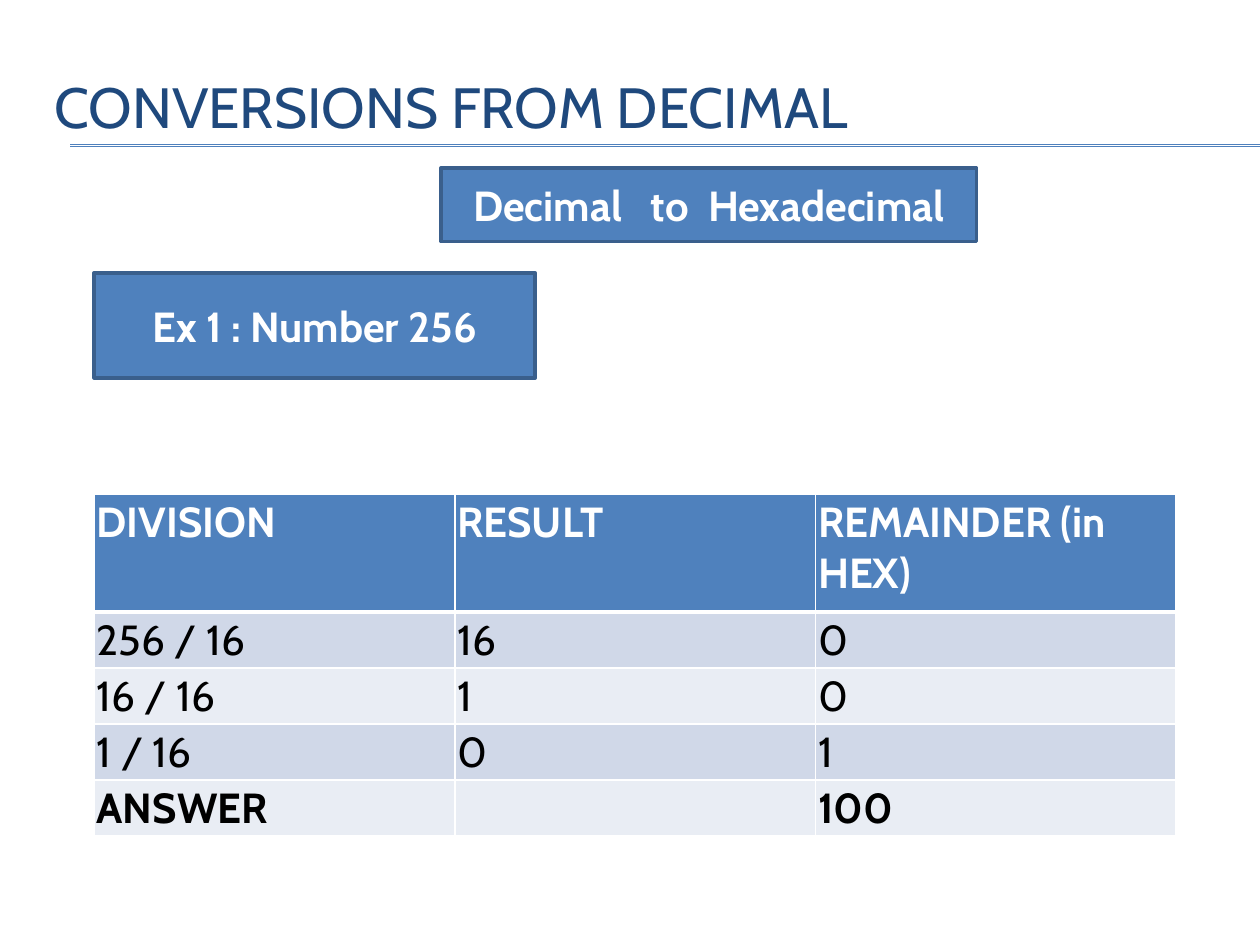
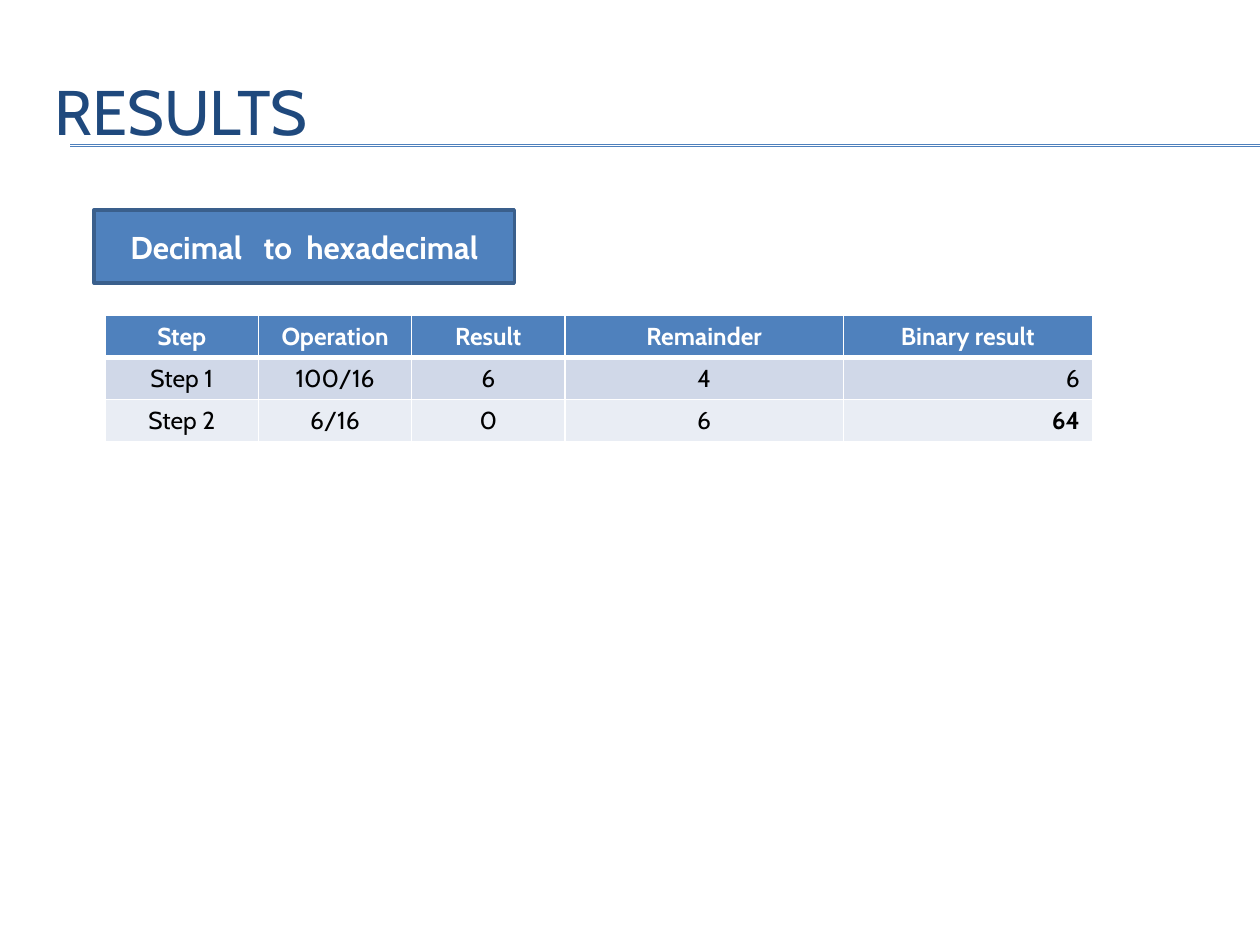
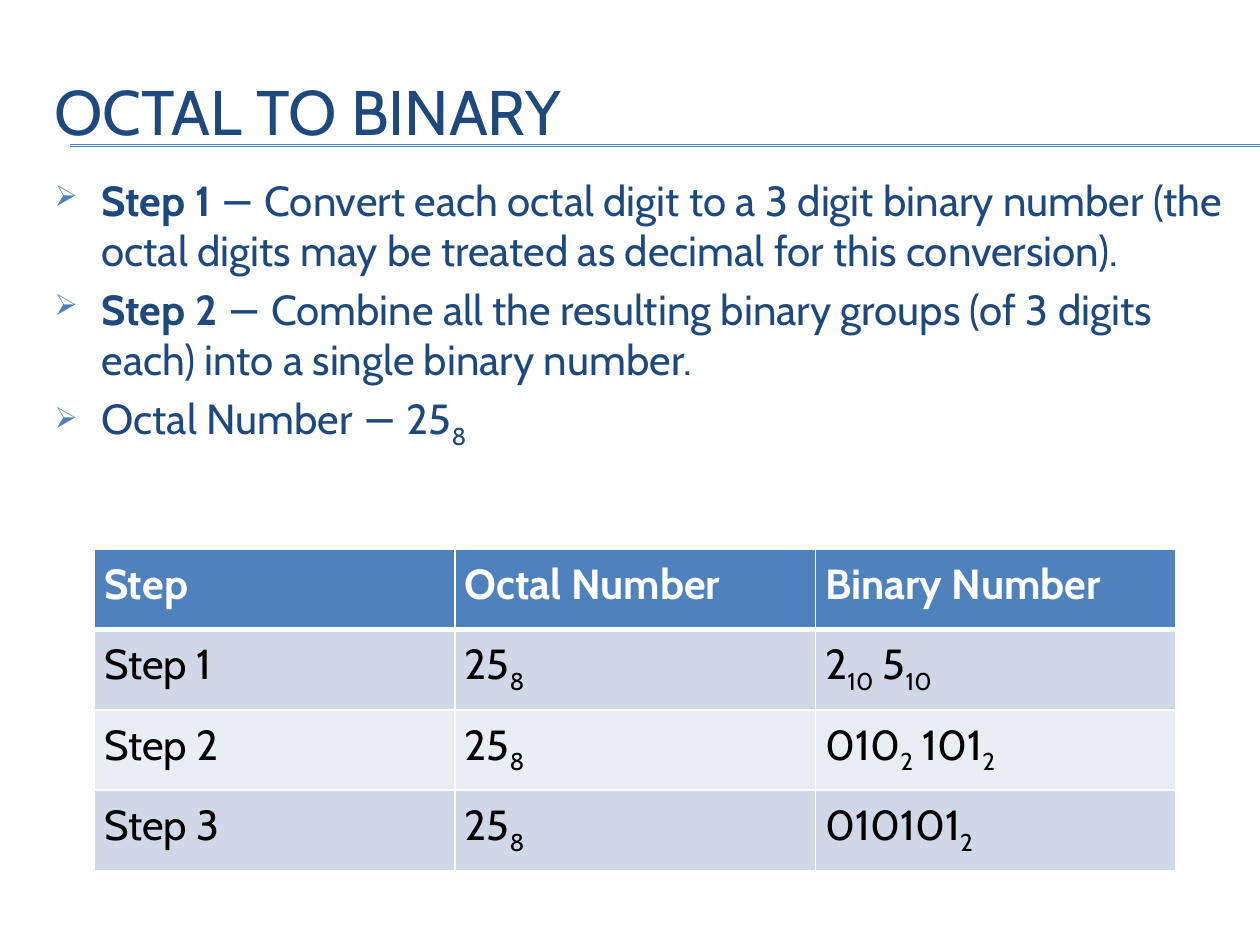
from lxml import etree
from pptx import Presentation
from pptx.dml.color import RGBColor
from pptx.enum.shapes import MSO_CONNECTOR, MSO_SHAPE
from pptx.enum.text import MSO_ANCHOR, PP_ALIGN
from pptx.oxml.ns import qn
from pptx.util import Cm, Pt

LEFT, CENTER, RIGHT = PP_ALIGN.LEFT, PP_ALIGN.CENTER, PP_ALIGN.RIGHT
TOP, MIDDLE = MSO_ANCHOR.TOP, MSO_ANCHOR.MIDDLE
RECTANGLE = MSO_SHAPE.RECTANGLE
STRAIGHT = MSO_CONNECTOR.STRAIGHT

FONT = "Cabin"
WHITE, BLACK = "FFFFFF", "000000"
NAVY, BLUE, DARK_BLUE = "1F497D", "4F81BD", "3A5F8C"
BANDS = ("D0D8E8", "E9EDF4")
BOLD = {"bold": True}
SUBSCRIPT = {"baseline": "-25000"}
RUN_ATTRIBUTES = ("baseline", "spc")


def rgb(value):
    return RGBColor.from_string(value)


def add_xml(parent, tag, **attributes):
    child = etree.SubElement(parent, qn(tag))
    for key, value in attributes.items():
        child.set(key, str(value))
    return child


def wide_space(points):
    """One space, widened by the given number of points."""
    return " ", {"spc": str(round(points * 100))}


class Deck:
    """Holds the presentation, its style and the current slide."""

    def __init__(self):
        self.presentation = Presentation()
        self.presentation.slide_width = Cm(25.4)
        self.presentation.slide_height = Cm(19.05)
        self.slide = None

    def new_slide(self, title, size=36, top=0.85, height=2.74):
        self.slide = self.presentation.slides.add_slide(
            self.presentation.slide_layouts[6])
        for y in (2.92, 2.95):
            self.rule(1.42, 25.4, y)
        frame = self.text_frame(0.85, top, 24.13, height, MIDDLE)
        self.add_runs(frame.paragraphs[0], [title], size, NAVY)

    def rule(self, start, end, y):
        line = self.slide.shapes.add_connector(
            STRAIGHT, Cm(start), Cm(y), Cm(end), Cm(y))
        line.line.color.rgb = rgb(BLUE)
        line.line.width = Pt(0.75)
        add_xml(line._element.spPr, "a:effectLst")

    def text_frame(self, left, top, width, height, anchor=TOP):
        frame = self.slide.shapes.add_textbox(
            Cm(left), Cm(top), Cm(width), Cm(height)).text_frame
        frame.word_wrap = True
        frame.vertical_anchor = anchor
        return frame

    def add_runs(self, paragraph, runs, size, color, align=LEFT, bold=False):
        """Add runs, each a string or a (string, format values) pair."""
        paragraph.alignment = align
        for part in runs:
            words, extra = (part, {}) if isinstance(part, str) else part
            run = paragraph.add_run()
            run.text = words
            run.font.color.rgb = rgb(color)
            values = {"name": FONT, "size": Pt(size), "bold": bold, **extra}
            for key, value in values.items():
                if key in RUN_ATTRIBUTES:
                    run._r.get_or_add_rPr().set(key, value)
                else:
                    setattr(run.font, key, value)

    def label(self, left, top, width, height, runs, size=24):
        box = self.slide.shapes.add_shape(
            RECTANGLE, Cm(left), Cm(top), Cm(width), Cm(height))
        box.shadow.inherit = False
        box.fill.solid()
        box.fill.fore_color.rgb = rgb(BLUE)
        box.line.color.rgb = rgb(DARK_BLUE)
        box.line.width = Pt(2)
        box.text_frame.vertical_anchor = MIDDLE
        self.add_runs(box.text_frame.paragraphs[0], runs, size, WHITE, CENTER, True)

    def bullets(self, left, top, width, height, items, size=24):
        frame = self.text_frame(left, top, width, height)
        for index, runs in enumerate(items):
            paragraph = frame.add_paragraph() if index else frame.paragraphs[0]
            properties = paragraph._p.get_or_add_pPr()
            properties.set("marL", str(Cm(0.95)))
            properties.set("indent", str(-Cm(0.95)))
            add_xml(add_xml(properties, "a:buClr"), "a:srgbClr", val=BLUE)
            add_xml(properties, "a:buSzPct", val=70000)
            add_xml(properties, "a:buChar", char="➢")
            if index:
                paragraph.space_before = Pt(0.2 * size)
            self.add_runs(paragraph, runs, size, NAVY)

    def borders(self, cell, row):
        """White grid lines, thick between the header and the body."""
        thick_side = {0: "B", 1: "T"}.get(row)
        for side in "LRTB":
            width = Pt(3 if side == thick_side else 1)
            line = add_xml(cell._tc.get_or_add_tcPr(), f"a:ln{side}", w=width)
            add_xml(add_xml(line, "a:solidFill"), "a:srgbClr", val=WHITE)

    def table(self, left, top, widths, heights, rows, size=24, anchor=TOP,
              margins=(0.25, 0.13), header_align=LEFT, aligns=None):
        """Draw rows of cells; a cell is a string or a list of runs."""
        table = self.slide.shapes.add_table(
            len(rows), len(widths), Cm(left), Cm(top),
            Cm(sum(widths)), Cm(sum(heights))).table
        for column, width in zip(table.columns, widths):
            column.width = Cm(width)
        aligns = aligns or [LEFT] * len(widths)
        across, down = map(Cm, margins)
        cell_format = {"margin_left": across, "margin_right": across,
                       "margin_top": down, "margin_bottom": down,
                       "vertical_anchor": anchor}
        for r, (height, row) in enumerate(zip(heights, rows)):
            table.rows[r].height = Cm(height)
            header = r == 0
            for c, content in enumerate(row):
                cell = table.cell(r, c)
                for key, value in cell_format.items():
                    setattr(cell, key, value)
                self.borders(cell, r)
                cell.fill.solid()
                cell.fill.fore_color.rgb = rgb(BLUE if header else BANDS[(r - 1) % 2])
                runs = content if isinstance(content, list) else [content]
                self.add_runs(cell.text_frame.paragraphs[0],
                              [run for run in runs if run],
                              size, WHITE if header else BLACK,
                              header_align if header else aligns[c], header)


def decimal_slide(deck):
    deck.new_slide("CONVERSIONS FROM DECIMAL", 32.4, 0.64, 2.97)
    deck.table(1.9, 9.96, [7.27] * 3, [2.38] + [1.13] * 4, [
        ["DIVISION", "RESULT", "REMAINDER (in HEX)"],
        ["256 / 16", "16", "0"],
        ["16 / 16", "1", "0"],
        ["1 / 16", "0", "1"],
        [[("ANSWER", BOLD)], "", [("100", BOLD)]],
    ], margins=(0.05, 0.05))
    deck.label(1.9, 5.5, 8.89, 2.12, ["Ex 1 : Number 256"])
    deck.label(8.89, 3.39, 10.8, 1.48,
               ["Decimal", wide_space(11), "to", wide_space(5.5), "Hexadecimal"])


def results_slide(deck):
    deck.new_slide("RESULTS")
    deck.label(1.9, 4.23, 8.47, 1.48,
               ["Decimal", wide_space(8.25), "to", wide_space(4.12), "hexadecimal"], 18)
    deck.table(2.12, 6.35, [3.09, 3.09, 3.09, 5.61, 5.02], [0.85] * 3, [
        ["Step", "Operation", "Result", "Remainder", "Binary result"],
        ["Step 1", "100/16", "6", "4", "6"],
        ["Step 2", "6/16", "0", "6", [("64", BOLD)]],
    ], size=14, anchor=MIDDLE, header_align=CENTER, aligns=[CENTER] * 4 + [RIGHT])


def octal_slide(deck):
    base_eight, base_two, base_ten = [(base, SUBSCRIPT) for base in ("8", "2", "10")]
    octal = ["25", base_eight]
    deck.new_slide("OCTAL TO BINARY")
    deck.bullets(0.85, 3.39, 24.13, 7.2, [
        [("Step 1", BOLD), " − Convert each octal digit to a 3 digit binary number "
         "(the octal digits may be treated as decimal for this conversion)."],
        [("Step 2", BOLD), " − Combine all the resulting binary groups "
         "(of 3 digits each) into a single binary number."],
        ["Octal Number − 25", base_eight],
    ])
    deck.table(1.9, 11.07, [7.27] * 3, [1.62] * 4, [
        ["Step", "Octal Number", "Binary Number"],
        ["Step 1", octal, ["2", base_ten, " 5", base_ten]],
        ["Step 2", octal, ["010", base_two, " 101", base_two]],
        ["Step 3", octal, ["010101", base_two]],
    ], margins=(0.2, 0.2))


def main():
    deck = Deck()
    decimal_slide(deck)
    results_slide(deck)
    octal_slide(deck)
    deck.presentation.save("out.pptx")


if __name__ == "__main__":
    main()
